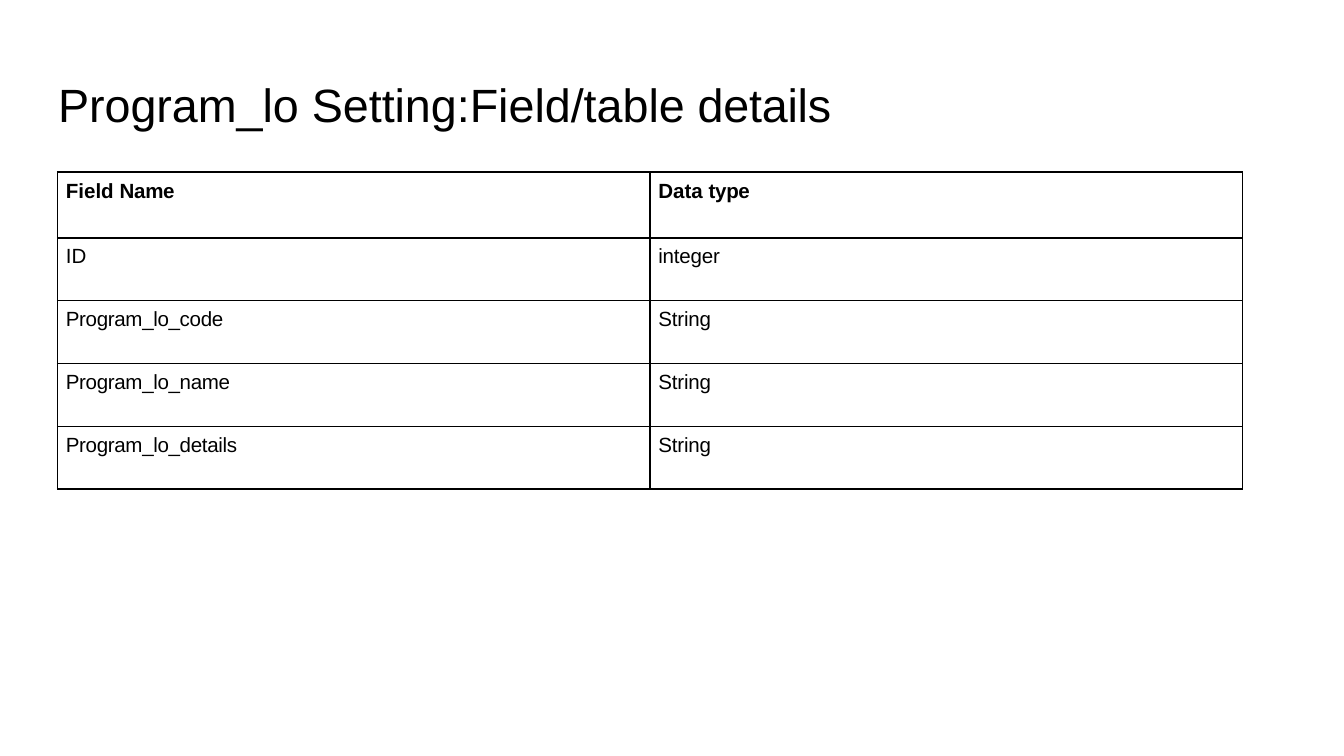
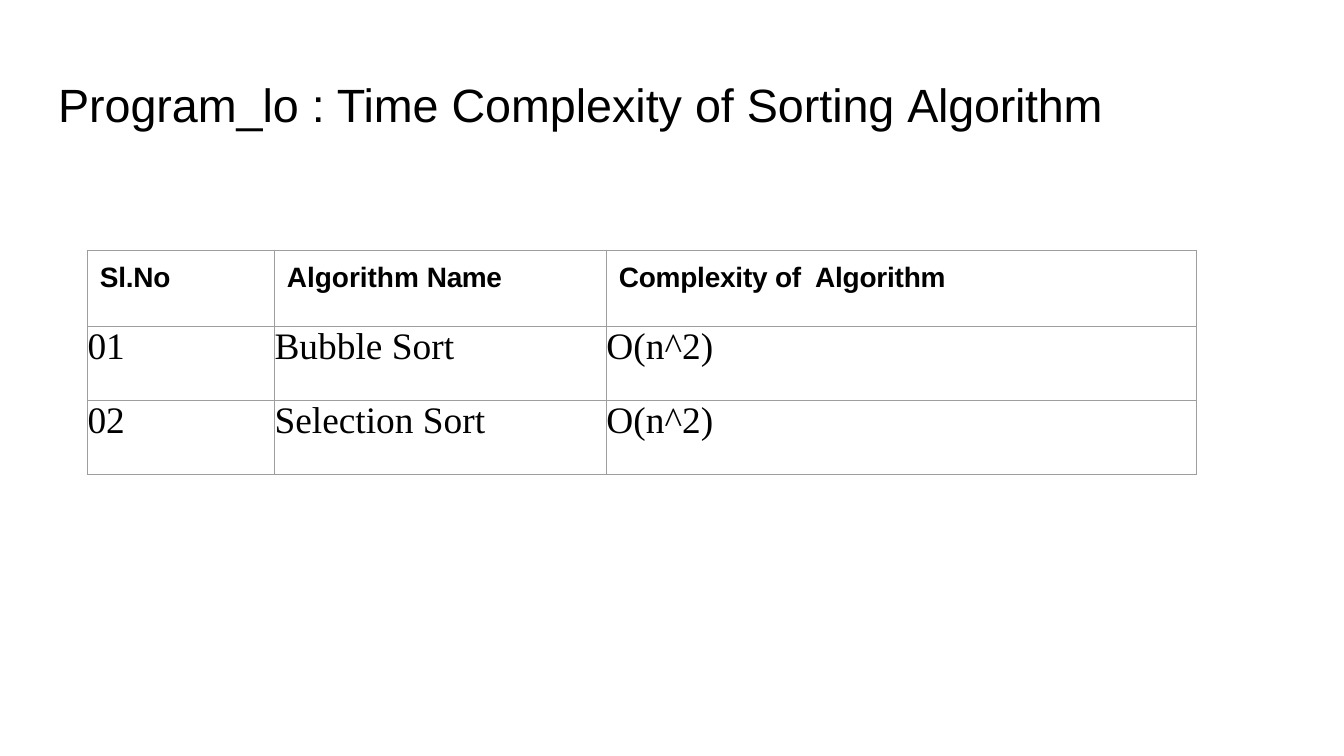
from lxml import etree
from pptx import Presentation
from pptx import util as u
from pptx.dml import color
from pptx.enum import text
from pptx.oxml import ns

# Content: a text is a list of (wording, letter spacing in points) runs
FIELDS = {
    "title": [("Program_lo Setting:Field/table ", 0), ("details", -0.1)],
    "rows": [
        [[("Field ", 0), ("Name", -0.2)], [("Data ", 0), ("type", -0.2)]],
        [[("ID", 0)], [("integer", -0.1)]],
        [[("Program_lo_code", -0.2)], [("String", -0.1)]],
        [[("Program_lo_name", -0.2)], [("String", -0.1)]],
        [[("Program_lo_details", -0.2)], [("String", -0.1)]],
    ],
    "left": 30.9, "top": 92.2,
    "widths": [317.4, 317.4],
    "head_height": 35.2, "row_height": 33.7, "closing_height": 8,
    "border": "black", "border_width": 1,
    "head": dict(size=11, bold=True, indent=4.4, before=4),
    "body": dict(size=11, indent=4.4, before=4),
}
SORTING = {
    "title": [("Program_lo : Time Complexity of Sorting ", 0), ("Algorithm", -0.1)],
    "rows": [
        [[("Sl.No", -0.1)], [("Algorithm ", 0), ("Name", -0.2)],
         [("Complexity of  Algorithm", -0.1)]],
        [[("01", 0)], [("Bubble Sort", 0)], [("O(n^2)", 0)]],
        [[("02", 0)], [("Selection Sort", 0)], [("O(n^2)", 0)]],
    ],
    "left": 46.9, "top": 134.1,
    "widths": [100.2, 177.8, 316.2],
    "head_height": 40.8, "row_height": 39.6, "closing_height": 0,
    "border": "gray", "border_width": 0.75,
    "head": dict(size=15, bold=True, indent=6.6, before=6.2),
    "body": dict(size=20, font="Times New Roman"),
}

# Shared style
COLORS = {"black": "000000", "gray": "9E9E9E"}
TITLE_BOX = (30.2, 39.6, 659.5, 32.4)
TITLE_FORMAT = dict(size=25, indent=0.9, before=1.2)


def write(tf, runs, size=11, font="Arial", bold=False, indent=0, before=0):
    """Fill a text frame with one left-aligned paragraph."""
    p = tf.paragraphs[0]
    p.alignment = text.PP_ALIGN.LEFT
    p.space_before = u.Pt(before)
    pPr = p._p.get_or_add_pPr()
    pPr.set("marL", str(u.Pt(indent)))
    pPr.set("indent", "0")
    for words, spacing in runs:
        r = p.add_run()
        r.text = words
        r.font.size = u.Pt(size)
        r.font.name = font
        r.font.bold = bold
        r.font.color.rgb = color.RGBColor.from_string(COLORS["black"])
        if spacing:
            r._r.get_or_add_rPr().set("spc", str(round(spacing * 100)))


def set_margins(box, top):
    box.margin_left = box.margin_right = box.margin_bottom = 0
    box.margin_top = u.Pt(top)


def style_cell(cell, border, width, top=0, sides="LRTB"):
    """Clear the fill and draw the named sides; the others stay bare."""
    set_margins(cell, top)
    cell.vertical_anchor = text.MSO_ANCHOR.TOP
    cell.fill.background()
    tcPr = cell._tc.get_or_add_tcPr()
    for i, side in enumerate("LRTB"):
        ln = etree.Element(ns.qn(f"a:ln{side}"), w=str(u.Pt(width)))
        if side in sides:
            fill = etree.SubElement(ln, ns.qn("a:solidFill"))
            etree.SubElement(fill, ns.qn("a:srgbClr"), val=COLORS[border])
        else:
            etree.SubElement(ln, ns.qn("a:noFill"))
        tcPr.insert(i, ln)


def add_title(s, runs):
    sp = s.shapes.title
    sp.left, sp.top, sp.width, sp.height = map(u.Pt, TITLE_BOX)
    tf = sp.text_frame
    tf.word_wrap = True
    tf.auto_size = text.MSO_AUTO_SIZE.SHAPE_TO_FIT_TEXT
    tf.vertical_anchor = text.MSO_ANCHOR.TOP
    set_margins(tf, TITLE_FORMAT["before"])
    write(tf, runs, **TITLE_FORMAT)


def add_grid(s, data):
    rows, widths = data["rows"], data["widths"]
    heights = [data["head_height"]] + [data["row_height"]] * (len(rows) - 1)
    if data["closing_height"]:
        heights.append(data["closing_height"])
    table = s.shapes.add_table(
        len(heights), len(widths), u.Pt(data["left"]), u.Pt(data["top"]),
        u.Pt(sum(widths)), u.Pt(sum(heights))).table
    table.first_row = table.horz_banding = False
    for col, width in zip(table.columns, widths):
        col.width = u.Pt(width)
    for row, height in zip(table.rows, heights):
        row.height = u.Pt(height)

    line = data["border"], data["border_width"]
    for i, row in enumerate(rows):
        style = data["body"] if i else data["head"]
        for j, runs in enumerate(row):
            cell = table.cell(i, j)
            style_cell(cell, *line, top=style.get("before", 0))
            write(cell.text_frame, runs, **style)

    # Empty closing row, merged across, with a top rule only
    if data["closing_height"]:
        last = len(rows)
        for j in range(len(widths)):
            style_cell(table.cell(last, j), *line, sides="T")
        table.cell(last, 0).merge(table.cell(last, len(widths) - 1))


def main():
    prs = Presentation()
    prs.slide_width, prs.slide_height = u.Pt(720), u.Pt(405)
    for data in (FIELDS, SORTING):
        s = prs.slides.add_slide(prs.slide_layouts[5])
        add_title(s, data["title"])
        add_grid(s, data)
    prs.save("out.pptx")


if __name__ == "__main__":
    main()
